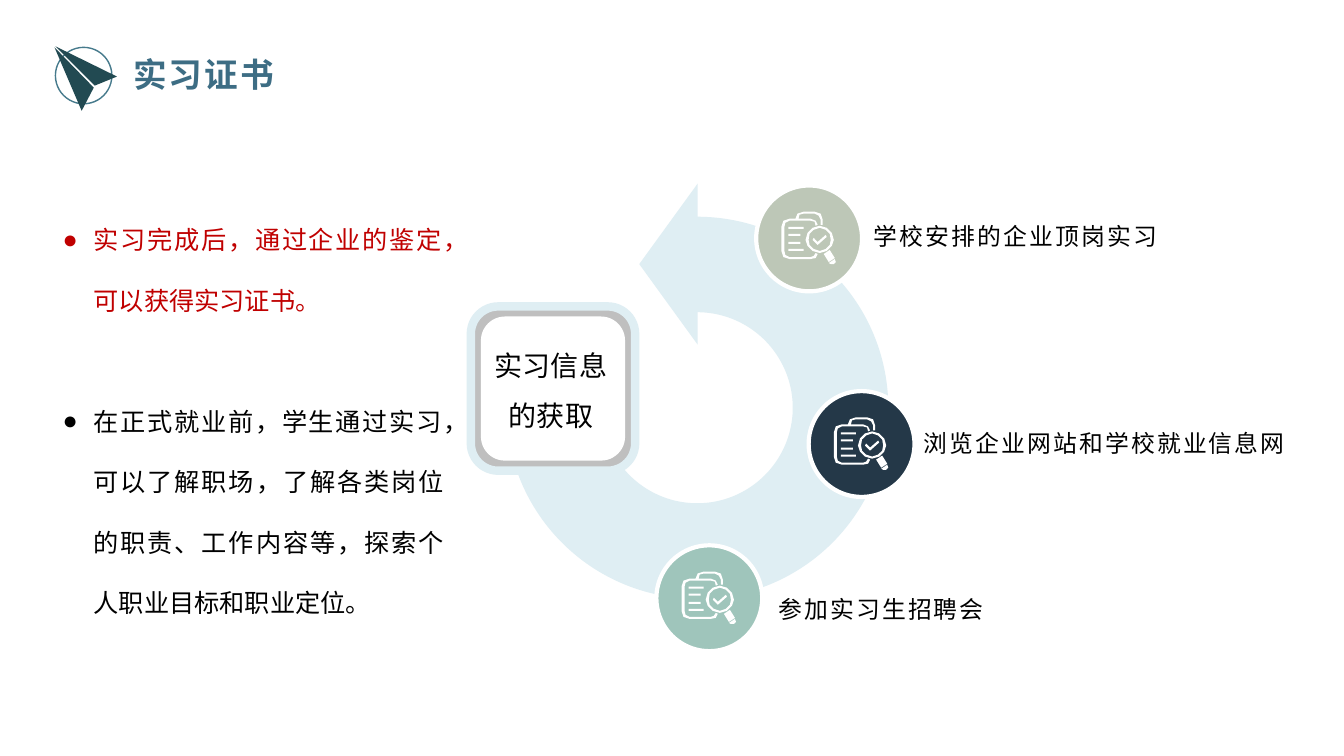
from math import cos, pi, sin

from lxml.etree import SubElement
from pptx import Presentation
from pptx.dml.color import RGBColor
from pptx.enum.shapes import MSO_SHAPE
from pptx.enum.text import MSO_ANCHOR, MSO_AUTO_SIZE, PP_ALIGN
from pptx.oxml.ns import qn
from pptx.util import Inches, Pt

FONT = "Noto Sans CJK SC"
WHITE, PALE_BLUE = "FFFFFF", "DFEEF3"


def paint(shape, fill=None, line=None, width=1):
    shape.shadow.inherit = False
    if fill:
        shape.fill.solid()
        shape.fill.fore_color.rgb = RGBColor.from_string(fill)
    else:
        shape.fill.background()
    if line:
        shape.line.color.rgb = RGBColor.from_string(line)
        shape.line.width = Pt(width)
    else:
        shape.line.fill.background()


def write(box, text, size=18, color="000000", bold=False, tracking=0, align=PP_ALIGN.LEFT,
          spacing=1.0, before=0, bullet=None, first=True):
    frame = box.text_frame
    frame.word_wrap = True
    frame.auto_size = MSO_AUTO_SIZE.NONE
    paragraph = frame.paragraphs[0] if first else frame.add_paragraph()
    if bullet:
        properties = paragraph._p.get_or_add_pPr()
        properties.set("marL", str(Inches(0.31)))
        properties.set("indent", str(-Inches(0.31)))
        SubElement(properties, qn("a:buChar")).set("char", bullet)
    paragraph.alignment = align
    paragraph.line_spacing = spacing
    paragraph.space_before = Pt(before)
    run = paragraph.add_run()
    run.text = text
    run.font.name = FONT
    run.font.size = Pt(size)
    run.font.bold = bold
    run.font.color.rgb = RGBColor.from_string(color)
    run_properties = run._r.get_or_add_rPr()
    if tracking:
        run_properties.set("spc", str(int(tracking * 100)))
    SubElement(run_properties, qn("a:ea")).set("typeface", FONT)


presentation = Presentation()
presentation.slide_width = Inches(13.33)
presentation.slide_height = Inches(7.5)
slide = presentation.slides.add_slide(presentation.slide_layouts[1])
shapes = slide.shapes

# Title
title = shapes.title
title.left, title.top, title.width, title.height = map(Inches, (1.22, 0.48, 6.67, 0.5))
title.text_frame.vertical_anchor = MSO_ANCHOR.MIDDLE
write(title, "实习证书", size=24, color="3D6D84", bold=True, tracking=1.5)

# Paper plane in a ring
plane_ring = shapes.add_shape(MSO_SHAPE.OVAL, *map(Inches, (0.55, 0.47, 0.56, 0.56)))
paint(plane_ring, line="467A8C")
plane = shapes.build_freeform(116, 76, scale=Inches(0.01))
plane.add_line_segments([(94, 85), (55, 46)])
plane.move_to(93, 87)
plane.add_line_segments([(81, 110), (54, 47)])
paint(plane.convert_to_shape(), fill="224A52")

# Bulleted explanation
benefits = slide.placeholders[1]
benefits.left, benefits.top, benefits.width, benefits.height = map(Inches, (0.52, 1.88, 3.98, 4.34))
benefits.text_frame.vertical_anchor = MSO_ANCHOR.TOP
bullet_style = dict(align=PP_ALIGN.JUSTIFY, spacing=2.0, bullet="●")
write(benefits, "实习完成后，通过企业的鉴定，可以获得实习证书。", color="C00000", **bullet_style)
write(benefits, "在正式就业前，学生通过实习，可以了解职场，了解各类岗位的职责、工作内容等，"
      "探索个人职业目标和职业定位。", before=43, first=False, **bullet_style)

# Circular arrow: three quarters of a ring and its head
ring = shapes.add_shape(MSO_SHAPE.BLOCK_ARC, *map(Inches, (5.02, 2.15, 3.79, 3.79)))
ring.adjustments[0] = 162  # starts at 270 degrees
ring.adjustments[1] = 108  # ends at 180 degrees
ring.adjustments[2] = 0.25
paint(ring, fill=PALE_BLUE)
arrow_head = shapes.add_shape(MSO_SHAPE.ISOSCELES_TRIANGLE, *map(Inches, (5.83, 2.33, 1.6, 0.58)))
arrow_head.rotation = 270
paint(arrow_head, fill=PALE_BLUE)

# Framed topic at the end of the ring
topic_frame = shapes.add_shape(MSO_SHAPE.ROUNDED_RECTANGLE, *map(Inches, (4.67, 3.04, 1.63, 1.63)))
paint(topic_frame, fill="BFBFBF", line=PALE_BLUE, width=6)
topic_panel = shapes.add_shape(MSO_SHAPE.ROUNDED_RECTANGLE, *map(Inches, (4.77, 3.14, 1.43, 1.43)))
paint(topic_panel, fill=WHITE)
topic = shapes.add_textbox(*map(Inches, (4.74, 3.24, 1.45, 1.11)))
write(topic, "实习信息的获取", size=20, align=PP_ALIGN.CENTER, spacing=1.5)

# Icon contours, in hundredths of an inch from the icon's corner
clipboard = [
    (34, 41), (36, 42), (34, 46), (29, 47), (8, 47), (2, 45), (0, 39), (0, 15), (2, 9), (8, 7),
    (14, 7), (16, 2), (22, 0), (33, 0), (39, 2), (41, 8), (41, 13), (39, 13), (39, 8), (37, 4),
    (33, 2), (22, 2), (18, 3), (17, 7), (29, 7), (34, 9), (36, 13), (34, 14), (33, 10), (29, 9),
    (8, 9), (4, 11), (3, 15), (3, 39), (4, 43), (8, 45), (29, 45), (32, 44)]
lens_edges = [[(38 + radius * cos(turn * step * pi / 6), 27.5 + radius * sin(turn * step * pi / 6))
               for step in range(12)] for radius, turn in ((13.7, 1), (11.4, -1))]
grip = [(48, 38), (42, 42), (47, 50), (53, 46)]
grip_end = [(53, 47), (47, 51), (49, 52), (52, 52), (54, 50)]
check_mark = [(36, 30), (32, 26), (31, 28), (36, 33), (45, 25), (44, 23)]
text_rows = [[(7, top), (end, top), (end, top + 2), (7, top + 2)]
             for top, end in ((15, 22), (22, 19), (30, 19), (37, 22))]
icon = [clipboard, *lens_edges, grip, grip_end, *text_rows, check_mark]

# Sources of information: circle, icon and label
sources = [
    ("学校安排的企业顶岗实习", "BDC7B7", 7.5, 1.84, (8.57, 2.09, 3.9, 0.92)),
    ("浏览企业网站和学校就业信息网", "243848", 8.02, 3.88, (9.06, 4.15, 3.95, 0.92)),
    ("参加实习生招聘会", "9FC5BB", 6.51, 5.41, (7.62, 5.79, 3.75, 0.85)),
]
for label, color, left, top, label_area in sources:
    disc = shapes.add_shape(MSO_SHAPE.OVAL, *map(Inches, (left, top, 1.05, 1.05)))
    paint(disc, fill=color, line=WHITE, width=3)

    builder = shapes.build_freeform(*icon[0][0], scale=Inches(1) / 100)
    builder.add_line_segments(icon[0][1:])
    for contour in icon[1:]:
        builder.move_to(*contour[0])
        builder.add_line_segments(contour[1:])
    paint(builder.convert_to_shape(Inches(left + 0.25), Inches(top + 0.26)), fill=WHITE)

    write(shapes.add_textbox(*map(Inches, label_area)), label, size=17, tracking=1.5, spacing=1.2)

presentation.save("out.pptx")
